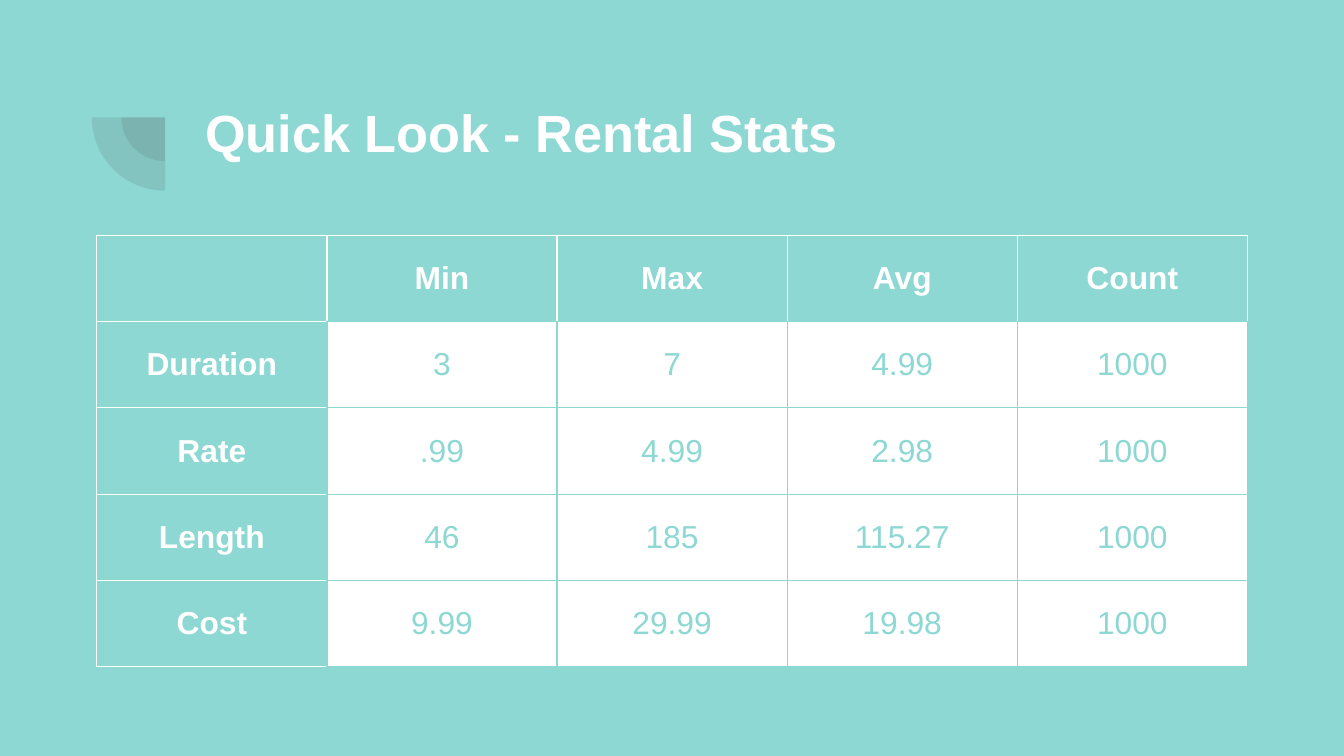
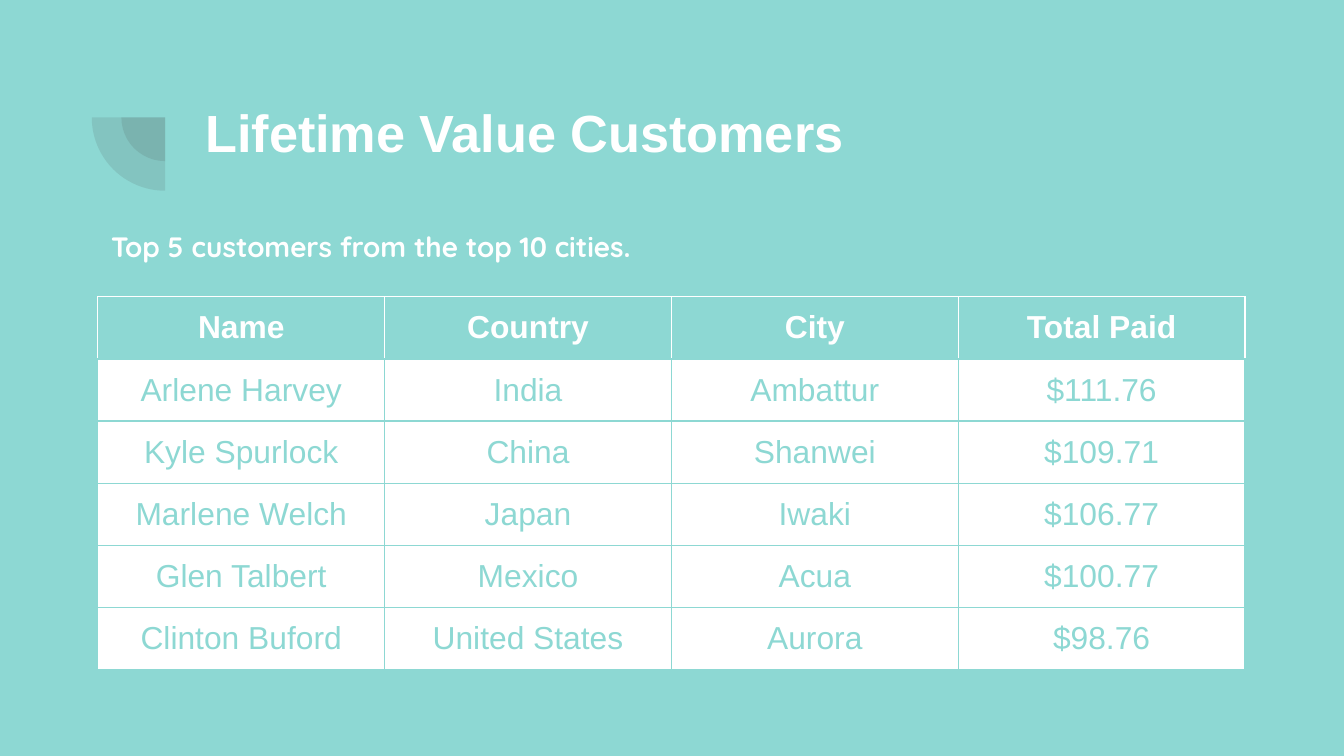
from dataclasses import dataclass

from lxml.etree import SubElement
from pptx import Presentation
from pptx.dml.color import RGBColor as Rgb
from pptx.enum.shapes import MSO_SHAPE as Preset
from pptx.enum.text import MSO_ANCHOR as Anchor, MSO_AUTO_SIZE as AutoSize, PP_ALIGN as Align
from pptx.oxml.ns import qn
from pptx.util import Cm, Pt


@dataclass(frozen=True)
class Theme:
    teal: str = "8DD8D3"
    white: str = "FFFFFF"
    ornament: str = "424242"
    ornament_alpha: int = 13
    font: str = "Arial"
    caption_font: str = "Quicksand"
    title_size: int = 28
    table_size: int = 17
    caption_size: int = 15
    border_width: float = 0.75
    inset: float = 0.25


THEME = Theme()
TITLE_ONLY = 5

RENTAL_STATS = [
    ["", "Min", "Max", "Avg", "Count"],
    ["Duration", "3", "7", "4.99", "1000"],
    ["Rate", ".99", "4.99", "2.98", "1000"],
    ["Length", "46", "185", "115.27", "1000"],
    ["Cost", "9.99", "29.99", "19.98", "1000"],
]
TOP_CUSTOMERS = [
    ["Name", "Country", "City", "Total Paid"],
    ["Arlene Harvey", "India", "Ambattur", "$111.76"],
    ["Kyle Spurlock", "China", "Shanwei", "$109.71"],
    ["Marlene Welch", "Japan", "Iwaki", "$106.77"],
    ["Glen Talbert", "Mexico", "Acua", "$100.77"],
    ["Clinton Buford", "United States", "Aurora", "$98.76"],
]


def apply(target, values):
    for name, value in values.items():
        setattr(target, name, value)


def set_margins(target):
    sides = ("left", "top", "right", "bottom")
    apply(target, {f"margin_{side}": Cm(THEME.inset) for side in sides})


def write(frame, text, size, color=THEME.white, bold=True, font=THEME.font, **paragraph_format):
    """Fill a text frame with one paragraph and return nothing."""
    paragraph = frame.paragraphs[0]
    apply(paragraph, paragraph_format)
    run = paragraph.add_run()
    run.text = text
    apply(run.font, {"name": font, "size": Pt(size), "bold": bold})
    run.font.color.rgb = Rgb.from_string(color)


def set_up_frame(frame):
    apply(frame, {"word_wrap": True, "auto_size": AutoSize.NONE,
                  "vertical_anchor": Anchor.TOP})
    set_margins(frame)


def add_ornament(slide):
    """Two translucent quarter discs around one centre, behind the title."""
    center_x, center_y = 3.12, 2.22
    ornament = slide.shapes.add_group_shape()
    for diameter in (1.65, 2.77):
        quarter = ornament.shapes.add_shape(
            Preset.PIE, Cm(center_x - diameter / 2), Cm(center_y - diameter / 2),
            Cm(diameter), Cm(diameter))
        quarter.rotation = 270
        quarter.adjustments[0], quarter.adjustments[1] = 108, 162
        quarter.shadow.inherit = False
        quarter.line.fill.background()
        quarter.fill.solid()
        quarter.fill.fore_color.rgb = Rgb.from_string(THEME.ornament)
        color = quarter.element.spPr.find(qn("a:solidFill"))[0]
        SubElement(color, qn("a:alpha"), val=str(THEME.ornament_alpha * 1000))
    slide.shapes.title.element.addprevious(ornament.element)


def add_titled_slide(deck, text):
    slide = deck.slides.add_slide(deck.slide_layouts[TITLE_ONLY])
    title = slide.shapes.title
    apply(title, {"left": Cm(3.63), "top": Cm(1.65), "width": Cm(19.53), "height": Cm(2.77)})
    set_up_frame(title.text_frame)
    write(title.text_frame, text, THEME.title_size, alignment=Align.LEFT)
    add_ornament(slide)
    return slide


def add_caption(slide, text):
    caption = slide.shapes.add_textbox(Cm(1.85), Cm(3.99), Cm(13.54), Cm(1.45))
    set_up_frame(caption.text_frame)
    write(caption.text_frame, text, THEME.caption_size, font=THEME.caption_font,
          line_spacing=1.15, space_after=Pt(12))


def set_borders(cell, colors):
    properties = cell._tc.get_or_add_tcPr()
    for side in "LRTB":
        line = SubElement(properties, qn(f"a:ln{side}"), w=str(Pt(THEME.border_width)))
        fill = SubElement(line, qn("a:solidFill"))
        SubElement(fill, qn("a:srgbClr"), val=colors[side])


def format_cell(cell, text, top_header, side_header):
    """Headers are white on teal with white borders, but teal next to the body."""
    is_header = top_header or side_header
    ink, ground = (THEME.white, THEME.teal) if is_header else (THEME.teal, THEME.white)
    borders = dict.fromkeys("LRTB", THEME.white if is_header else THEME.teal)
    if top_header and not side_header:
        borders["B"] = THEME.teal
    elif side_header and not top_header:
        borders["R"] = THEME.teal
    set_borders(cell, borders)
    cell.fill.solid()
    cell.fill.fore_color.rgb = Rgb.from_string(ground)
    cell.vertical_anchor = Anchor.MIDDLE
    set_margins(cell)
    if text:
        write(cell.text_frame, text, THEME.table_size, ink, is_header, alignment=Align.CENTER)


def add_data_table(slide, rows, left, top, column_width, row_height, row_labels=False):
    row_count, column_count = len(rows), len(rows[0])
    table = slide.shapes.add_table(
        row_count, column_count, Cm(left), Cm(top),
        Cm(column_width * column_count), Cm(row_height * row_count)).table
    apply(table, {"horz_banding": False, "first_row": True, "first_col": row_labels})
    for column in table.columns:
        column.width = Cm(column_width)
    for r, values in enumerate(rows):
        table.rows[r].height = Cm(row_height)
        for c, value in enumerate(values):
            format_cell(table.cell(r, c), value, r == 0, row_labels and c == 0)


def main():
    deck = Presentation()
    apply(deck, {"slide_width": Cm(25.4), "slide_height": Cm(14.29)})
    background = deck.slide_master.background.fill
    background.solid()
    background.fore_color.rgb = Rgb.from_string(THEME.teal)

    rentals = add_titled_slide(deck, "Quick Look - Rental Stats")
    add_data_table(rentals, RENTAL_STATS, 1.83, 4.45, 4.35, 1.63, row_labels=True)

    customers = add_titled_slide(deck, "Lifetime Value Customers")
    add_data_table(customers, TOP_CUSTOMERS, 1.85, 5.61, 5.42, 1.02)
    add_caption(customers, "Top 5 customers from the top 10 cities.")

    deck.save("out.pptx")


if __name__ == "__main__":
    main()
